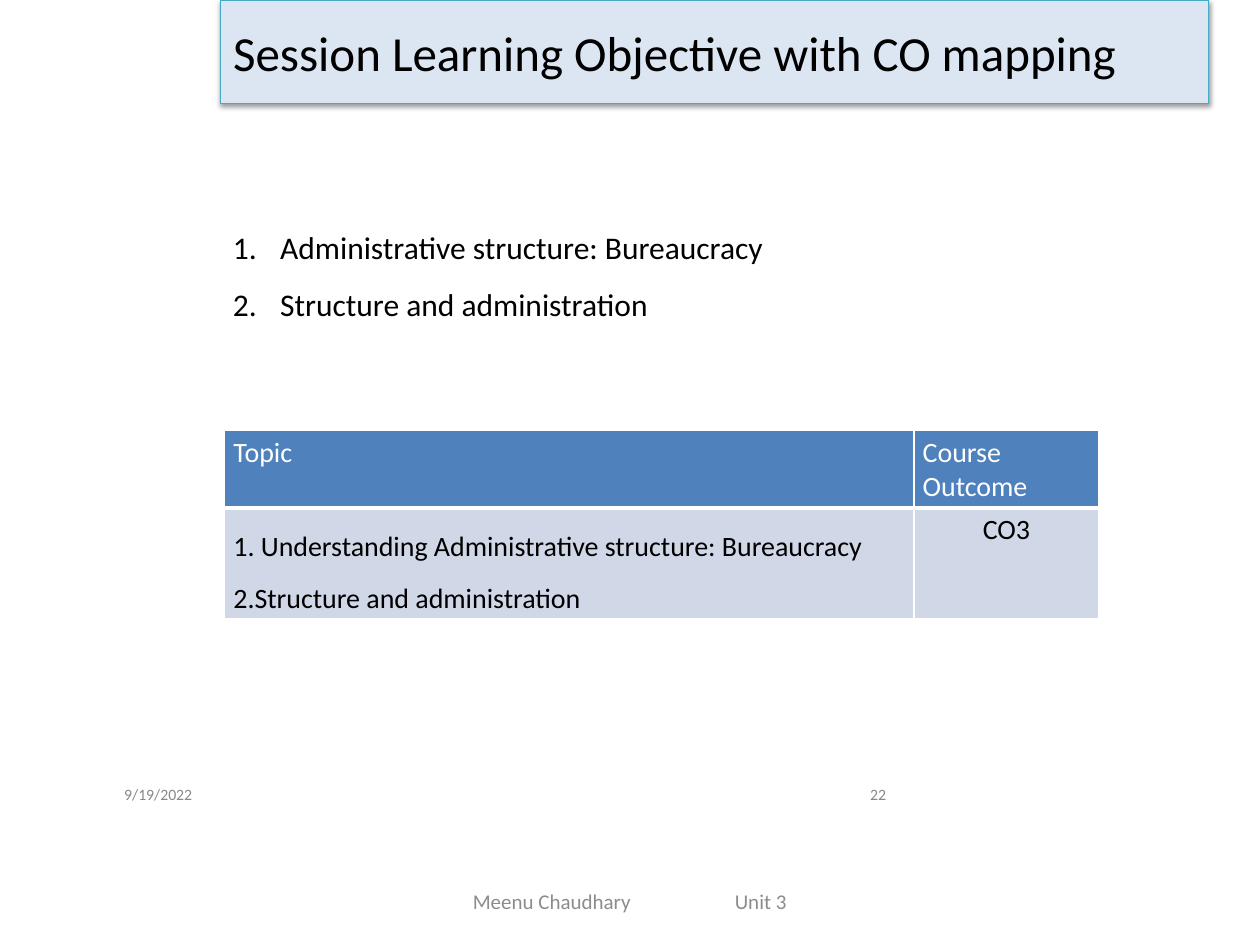
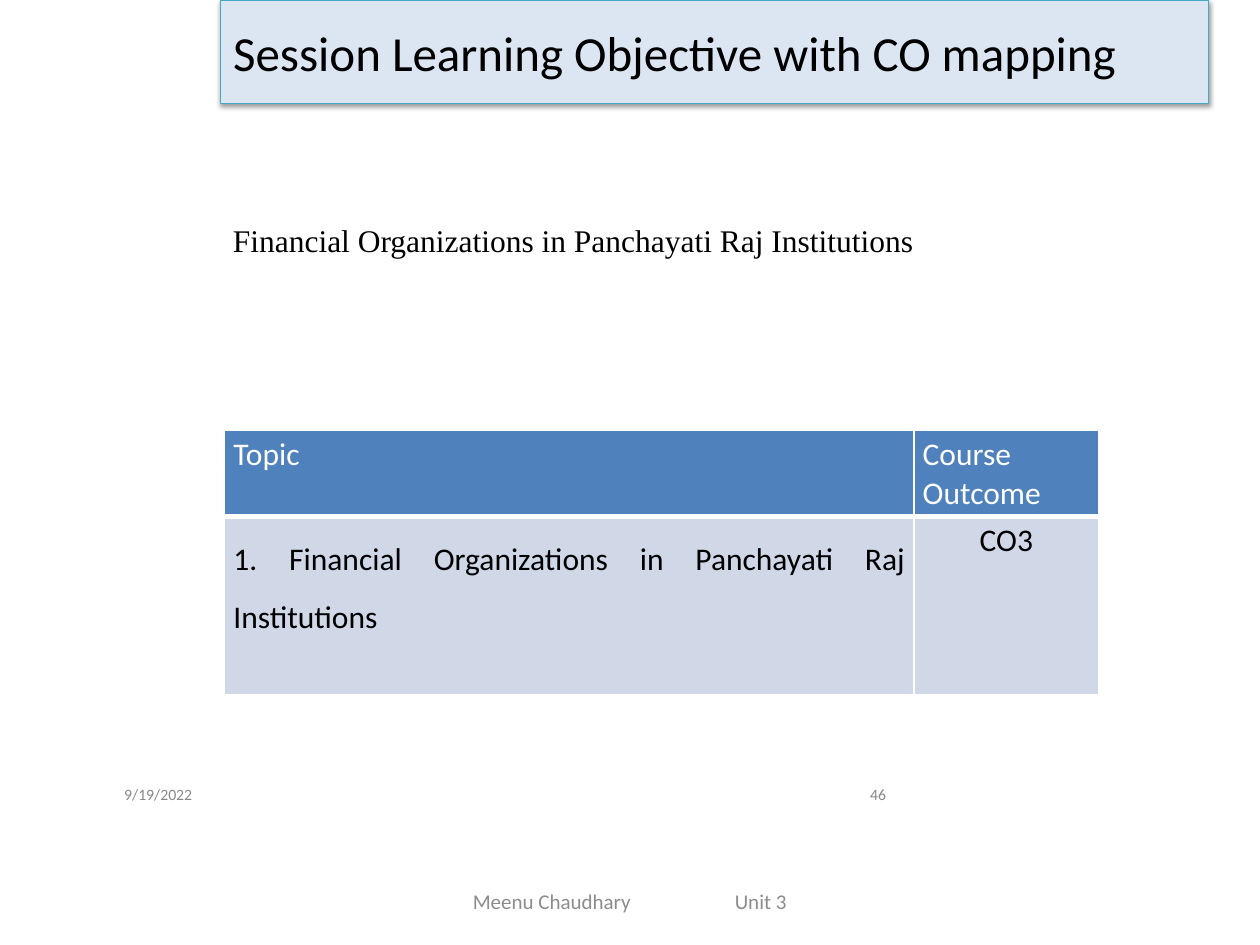
from dataclasses import dataclass

from lxml.etree import SubElement
from pptx import Presentation
from pptx.dml.color import RGBColor
from pptx.enum.text import MSO_ANCHOR as Anchor, MSO_AUTO_SIZE as AutoSize, PP_ALIGN as Align
from pptx.oxml.ns import qn
from pptx.util import Pt

SANS, SERIF = "Calibri", "Times New Roman"
BLACK, WHITE = "000000", "FFFFFF"
TITLE_FILL, TITLE_LINE = "DCE6F2", "46AAC5"
HEADER_FILL, BODY_FILL = "4F81BD", "D0D8E8"
SMALL_GREY, FOOTER_GREY = "888888", "8C8C8C"

TITLE = "Session Learning Objective with CO mapping"
HEADINGS = ("Topic", "Course Outcome")
COLUMN_WIDTHS = (393.9, 105.6)
TABLE_LEFT, TABLE_TOP = 128.4, 246
HANGING = 27


@dataclass(frozen=True)
class TextStyle:
    size: float
    color: str = BLACK
    font: str = SANS
    align: Align = Align.LEFT
    spacing: float = 1.0
    numbered: bool = False
    hanging: float = 0


@dataclass(frozen=True)
class Label:
    text: str
    left: float
    top: float
    width: float
    height: float
    style: TextStyle


@dataclass(frozen=True)
class Session:
    number: str
    objectives: str
    objective_style: TextStyle
    topics: str
    outcome: str
    table_size: float
    row_heights: tuple[float, float]


SESSIONS = (
    Session(
        "22",
        "Administrative structure: Bureaucracy \nStructure and administration",
        TextStyle(18, align=Align.JUSTIFY, spacing=1.5, numbered=True, hanging=HANGING),
        " Understanding Administrative structure: Bureaucracy \nStructure and administration",
        "CO3", 16, (43.4, 63),
    ),
    Session(
        "46",
        "Financial Organizations in Panchayati Raj Institutions",
        TextStyle(18, font=SERIF, align=Align.JUSTIFY, spacing=1.31, hanging=HANGING),
        " Financial Organizations in Panchayati Raj Institutions",
        "CO3", 18, (48.3, 102),
    ),
)


def rgb(color: str) -> RGBColor:
    return RGBColor.from_string(color)


def write(frame, text: str, style: TextStyle) -> None:
    frame.text = text
    for para in frame.paragraphs:
        para.alignment = style.align
        para.line_spacing = style.spacing
        properties = para._p.get_or_add_pPr()
        if style.hanging:
            properties.set("marL", str(Pt(style.hanging)))
            properties.set("indent", str(-Pt(style.hanging)))
        if style.numbered:
            SubElement(properties, qn("a:buAutoNum"), type="arabicPeriod")
        for span in para.runs:
            span.font.size = Pt(style.size)
            span.font.name = style.font
            span.font.bold = False
            span.font.color.rgb = rgb(style.color)


def add_label(page, label: Label, anchor: Anchor = Anchor.MIDDLE):
    box = page.shapes.add_textbox(
        Pt(label.left), Pt(label.top), Pt(label.width), Pt(label.height))
    box.text_frame.word_wrap = True
    box.text_frame.vertical_anchor = anchor
    write(box.text_frame, label.text, label.style)
    return box


def add_shadow(shape) -> None:
    effects = SubElement(shape._element.spPr, qn("a:effectLst"))
    shadow = SubElement(effects, qn("a:outerShdw"), blurRad=str(Pt(3.1)),
                        dist=str(Pt(1.6)), dir="5400000", rotWithShape="0")
    color = SubElement(shadow, qn("a:srgbClr"), val=BLACK)
    SubElement(color, qn("a:alpha"), val="38000")


def format_title(page) -> None:
    title = page.shapes.title
    title.left, title.top, title.width, title.height = Pt(126), Pt(0), Pt(564.5), Pt(59)
    title.fill.solid()
    title.fill.fore_color.rgb = rgb(TITLE_FILL)
    title.line.color.rgb = rgb(TITLE_LINE)
    title.line.width = Pt(0.75)
    add_shadow(title)
    title.text_frame.auto_size = AutoSize.NONE
    title.text_frame.vertical_anchor = Anchor.MIDDLE
    write(title.text_frame, TITLE, TextStyle(28))


def add_footers(page, number: str) -> None:
    add_label(page, Label("9/19/2022", 27.4, 443, 126, 21.6,
                          TextStyle(9, SMALL_GREY, align=Align.CENTER)))
    add_label(page, Label(number, 387.4, 443, 126, 21.6,
                          TextStyle(9, SMALL_GREY, align=Align.RIGHT)))
    footer = add_label(page, Label("Meenu Chaudhary\tUnit 3", 246.2, 500.4, 228, 28.8,
                                   TextStyle(12, FOOTER_GREY)))
    footer.text_frame.margin_left = Pt(24)
    properties = footer.text_frame.paragraphs[0]._p.get_or_add_pPr()
    tabs = SubElement(properties, qn("a:tabLst"))
    SubElement(tabs, qn("a:tab"), pos=str(Pt(149.7)), algn="l")


def add_borders(cell, bottom: float) -> None:
    properties = cell._tc.get_or_add_tcPr()
    for side, width in zip("LRTB", (1, 1, 1, bottom)):
        line = SubElement(properties, qn(f"a:ln{side}"), w=str(Pt(width)))
        fill = SubElement(line, qn("a:solidFill"))
        SubElement(fill, qn("a:srgbClr"), val=WHITE)


def fill_cell(cell, text: str, style: TextStyle, fill: str, bottom: float) -> None:
    cell.margin_left = cell.margin_right = Pt(5)
    cell.margin_top = cell.margin_bottom = Pt(2.9)
    add_borders(cell, bottom)
    cell.fill.solid()
    cell.fill.fore_color.rgb = rgb(fill)
    write(cell.text_frame, text, style)


def add_mapping_table(page, session: Session) -> None:
    table = page.shapes.add_table(
        2, 2, Pt(TABLE_LEFT), Pt(TABLE_TOP),
        Pt(sum(COLUMN_WIDTHS)), Pt(sum(session.row_heights))).table
    table.horz_banding = False
    for column, width in zip(table.columns, COLUMN_WIDTHS):
        column.width = Pt(width)
    for row, height in zip(table.rows, session.row_heights):
        row.height = Pt(height)

    size = session.table_size
    for index, heading in enumerate(HEADINGS):
        fill_cell(table.cell(0, index), heading, TextStyle(size, WHITE), HEADER_FILL, 3)
    topic_style = TextStyle(size, align=Align.JUSTIFY, spacing=1.5, numbered=True)
    fill_cell(table.cell(1, 0), session.topics, topic_style, BODY_FILL, 1)
    fill_cell(table.cell(1, 1), session.outcome,
              TextStyle(size, align=Align.CENTER), BODY_FILL, 1)


def add_session(deck, session: Session) -> None:
    page = deck.slides.add_slide(deck.slide_layouts[5])
    format_title(page)
    objectives = Label(session.objectives, 126, 116, 531.4, 68, session.objective_style)
    box = add_label(page, objectives, Anchor.TOP)
    box.text_frame.auto_size = AutoSize.SHAPE_TO_FIT_TEXT
    add_mapping_table(page, session)
    add_footers(page, session.number)


def main() -> None:
    deck = Presentation()
    deck.slide_width, deck.slide_height = Pt(720), Pt(540)
    for session in SESSIONS:
        add_session(deck, session)
    deck.save("out.pptx")


if __name__ == "__main__":
    main()
